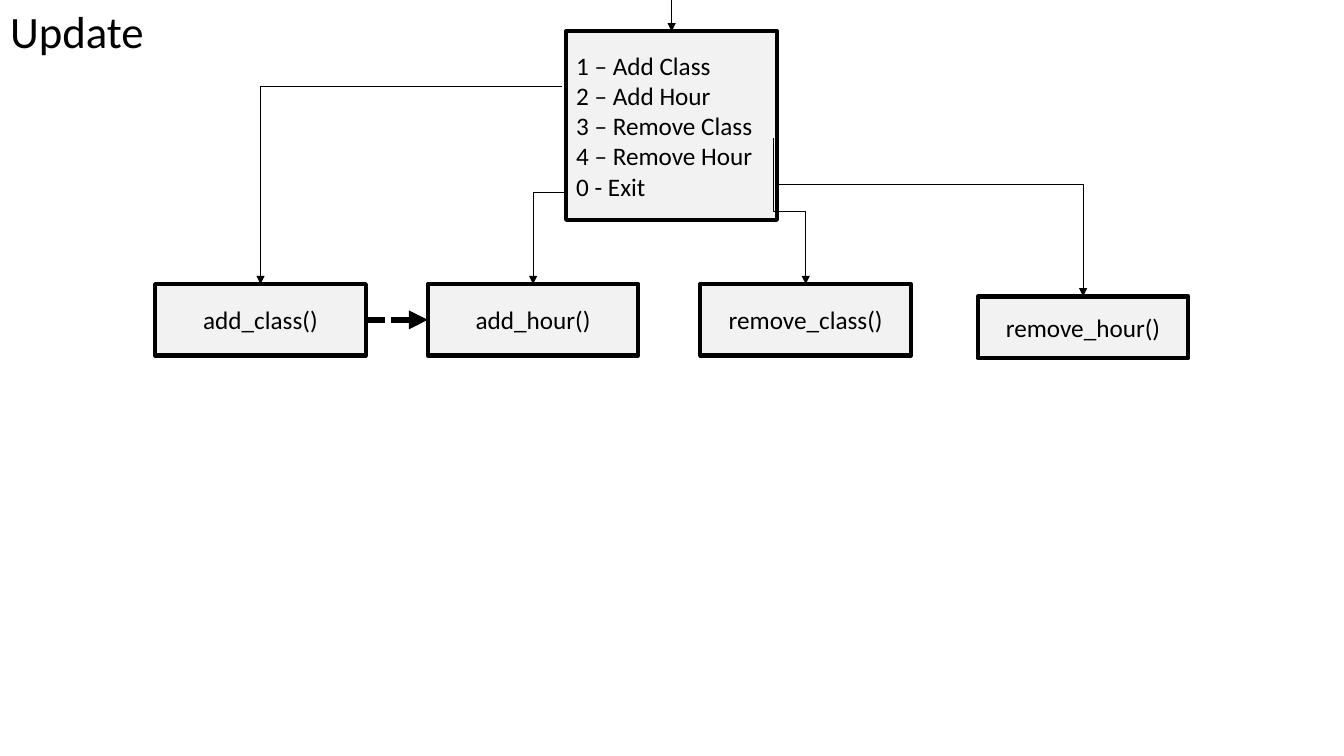
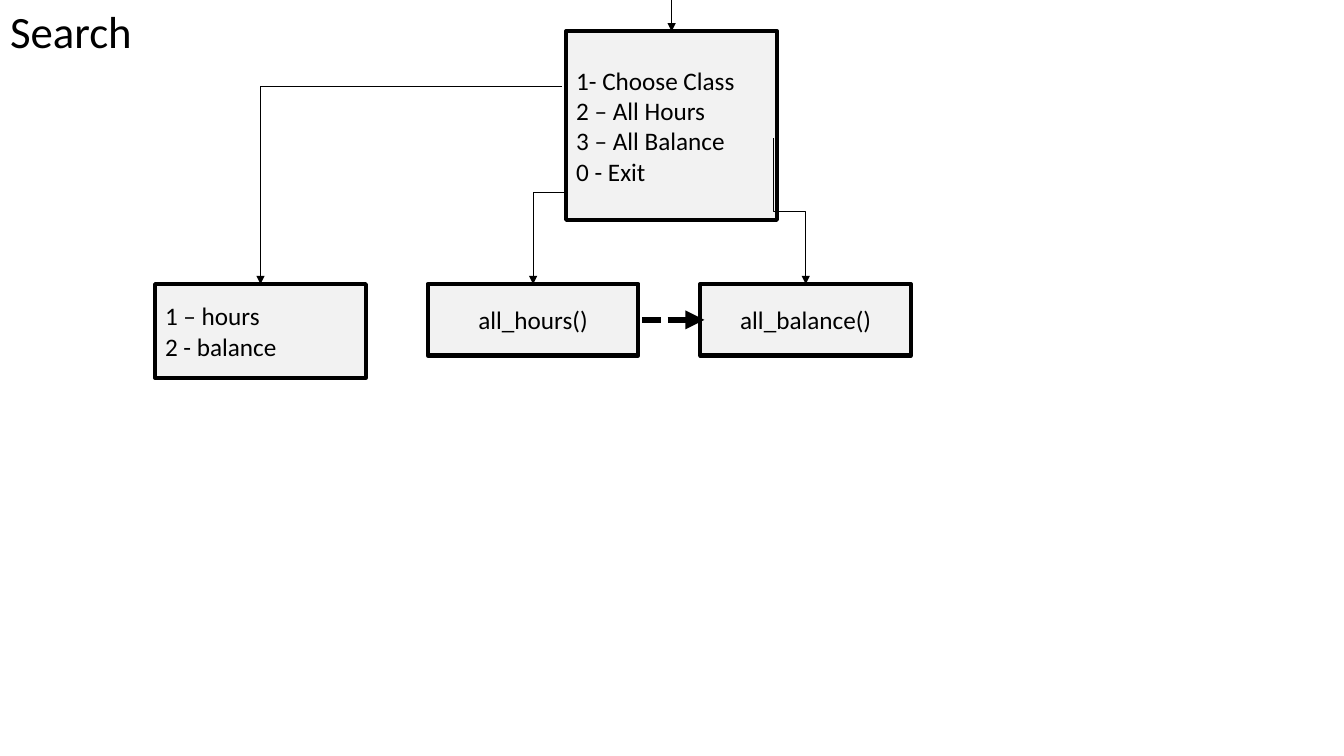
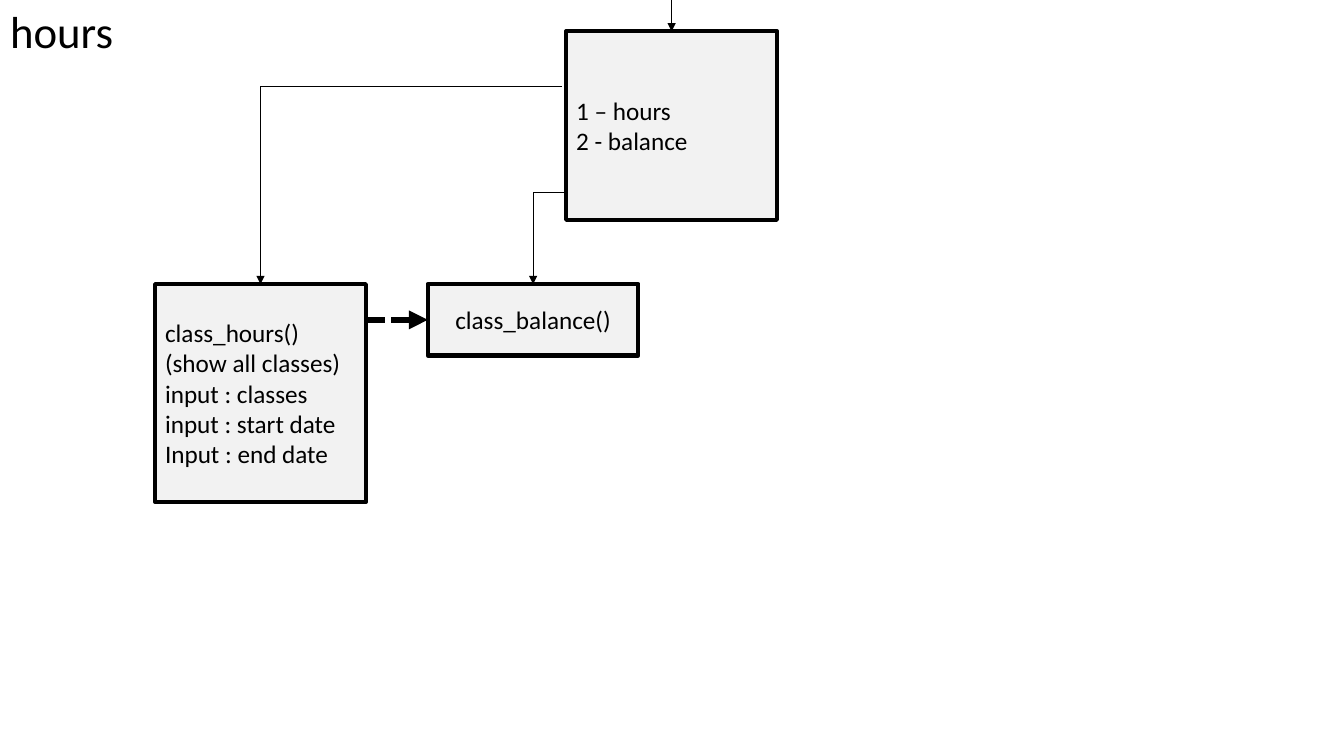
import lxml.etree
import pptx
import pptx.dml.color
import pptx.enum.dml
import pptx.enum.shapes
import pptx.enum.text
import pptx.oxml.ns
import pptx.util

Cm = pptx.util.Cm
INK = "000000"
PANEL = "F2F2F2"
FONT = "Calibri"
BOX_WIDTH = 5.31
MENU = (14.27, 0.79, BOX_WIDTH, 4.75)
ROW_LEFT, ROW_TOP, ROW_STEP = 3.91, 7.16, 6.87
CALL_HEIGHT = 1.8
ROUTES = [("corner", -0.1, 1.39), ("step", 0, 1.75),
          ("step", 5.21, 2.69), ("corner", 5.31, 3.86)]

SLIDES = [
    {"title": "Update", "title_width": 3.91,
     "menu": ["1 – Add Class", "2 – Add Hour", "3 – Remove Class",
              "4 – Remove Hour", "0 - Exit"],
     "branches": [{"lines": ["add_class()"]}, {"lines": ["add_hour()"]},
                  {"lines": ["remove_class()"]},
                  {"lines": ["remove_hour()"], "left": 24.64, "top": 7.47, "height": 1.55}],
     "dash_column": 0, "dash_shift": 0},
    {"title": "Search", "title_width": 3.61,
     "menu": ["1- Choose Class", "2 – All Hours", "3 – All Balance", "0 - Exit"],
     "branches": [{"lines": ["1 – hours", "2 - balance"], "height": 2.36},
                  {"lines": ["all_hours()"]}, {"lines": ["all_balance()"]}],
     "dash_column": 1, "dash_shift": 0.1},
    {"title": "hours", "title_width": 3.15,
     "menu": ["1 – hours", "2 - balance"],
     "branches": [{"lines": ["class_hours()", "(show all classes)", "input : classes",
                             "input : start date", "Input : end date"], "height": 5.49},
                  {"lines": ["class_balance()"]}],
     "dash_column": 0, "dash_shift": 0},
]


def color(value):
    """Turn a hex string into a colour."""
    return pptx.dml.color.RGBColor.from_string(value)


def write(frame, lines, size=18, align="LEFT", anchor="MIDDLE", wrap=True):
    """Fill a text frame with one paragraph per line."""
    frame.word_wrap = wrap
    frame.vertical_anchor = pptx.enum.text.MSO_ANCHOR[anchor]
    for index, line in enumerate(lines):
        para = frame.add_paragraph() if index else frame.paragraphs[0]
        para.alignment = pptx.enum.text.PP_ALIGN[align]
        span = para.add_run()
        span.text = line
        span.font.name = FONT
        span.font.size = pptx.util.Pt(size)
        span.font.color.rgb = color(INK)


def add_title(page, text, width):
    """Place the slide title in the top left corner."""
    title = page.shapes.title
    title.left, title.top, title.width, title.height = map(Cm, (0, -0.03, width, 1.62))
    write(title.text_frame, [text], size=32, anchor="TOP", wrap=False)
    title.text_frame.auto_size = pptx.enum.text.MSO_AUTO_SIZE.SHAPE_TO_FIT_TEXT


def add_box(page, frame, lines, align="LEFT"):
    """Draw a framed panel with text."""
    box = page.shapes.add_shape(pptx.enum.shapes.MSO_SHAPE.RECTANGLE, *map(Cm, frame))
    box.shadow.inherit = False
    box.fill.solid()
    box.fill.fore_color.rgb = color(PANEL)
    box.line.color.rgb = color(INK)
    box.line.width = pptx.util.Pt(3)
    write(box.text_frame, lines, align=align)
    return box


def add_arrow(page, start, end, kind="STRAIGHT", weight=0.5, dash=None):
    """Draw a connector with an arrowhead at its end."""
    arrow = page.shapes.add_connector(
        pptx.enum.shapes.MSO_CONNECTOR[kind], *map(Cm, start + end))
    arrow.line.color.rgb = color(INK)
    arrow.line.width = pptx.util.Pt(weight)
    if dash:
        arrow.line.dash_style = dash
    qn = pptx.oxml.ns.qn
    properties = arrow.element.spPr
    lxml.etree.SubElement(properties.find(qn("a:ln")), qn("a:tailEnd"), type="triangle")
    lxml.etree.SubElement(properties, qn("a:effectLst"))
    return arrow


def add_route(page, route, start, target):
    """Lead a bent arrow from a point to the top of a box."""
    arrow = add_arrow(page, start, start, kind="ELBOW")
    arrow.end_connect(target, 0)
    geometry = arrow.element.spPr.find(pptx.oxml.ns.qn("a:prstGeom"))
    if route == "corner":
        geometry.set("prst", "bentConnector2")
        return
    leftward = arrow.end_x < arrow.begin_x
    across, down = arrow.width, arrow.height
    arrow.left += (across - down) // 2
    arrow.top += (down - across) // 2
    arrow.width, arrow.height = down, across
    arrow.rotation = 90 if leftward else 270
    arrow.element.spPr.xfrm.set("flipH", "0" if leftward else "1")


def add_branch(page, column, menu, lines, left=None, top=ROW_TOP, height=CALL_HEIGHT):
    """Draw one box of the row and its arrow from the menu."""
    left = ROW_LEFT + column * ROW_STEP if left is None else left
    align = "CENTER" if len(lines) == 1 else "LEFT"
    box = add_box(page, (left, top, BOX_WIDTH, height), lines, align=align)
    route, across, down = ROUTES[column]
    add_route(page, route, (menu[0] + across, menu[1] + down), box)


def add_dash(page, column, shift):
    """Draw the heavy dashed arrow from one column to the next."""
    left = ROW_LEFT + column * ROW_STEP + BOX_WIDTH + shift
    middle = ROW_TOP + CALL_HEIGHT / 2
    add_arrow(page, (left, middle), (left + ROW_STEP - BOX_WIDTH, middle), weight=4.5,
              dash=pptx.enum.dml.MSO_LINE.SQUARE_DOT)


def add_flow(deck, title, title_width, menu, branches, dash_column, dash_shift):
    """Build a slide with a menu and the calls it leads to."""
    page = deck.slides.add_slide(deck.slide_layouts[5])
    add_title(page, title, title_width)
    add_box(page, MENU, menu)
    center = MENU[0] + MENU[2] / 2
    add_arrow(page, (center, 0), (center, MENU[1]))
    for column, branch in enumerate(branches):
        add_branch(page, column, MENU, **branch)
    add_dash(page, dash_column, dash_shift)


deck = pptx.Presentation()
deck.slide_width, deck.slide_height = Cm(33.87), Cm(19.05)
for content in SLIDES:
    add_flow(deck, **content)
deck.save("out.pptx")
